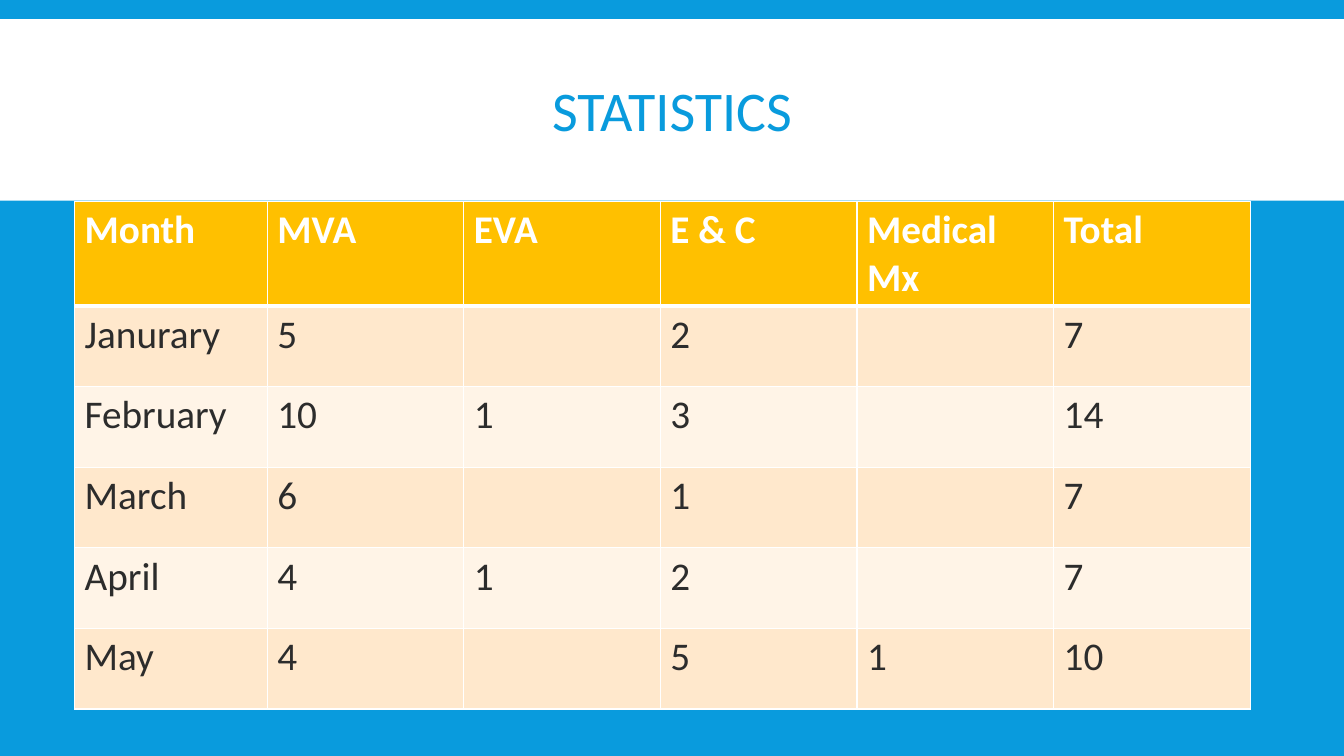
from lxml.etree import SubElement
from pptx import Presentation
from pptx.dml.color import RGBColor
from pptx.enum.shapes import MSO_SHAPE
from pptx.enum.text import MSO_ANCHOR, PP_ALIGN
from pptx.oxml.ns import qn
from pptx.util import Inches, Pt

TITLE = "STATISTICS"
HEADER = ("Month", "MVA", "EVA", "E & C", "Medical Mx", "Total")
MONTHS = (
    ("Janurary", "5", "", "2", "", "7"),
    ("February", "10", "1", "3", "", "14"),
    ("March", "6", "", "1", "", "7"),
    ("April", "4", "1", "2", "", "7"),
    ("May", "4", "", "5", "1", "10"),
)

BLUE = RGBColor(0x09, 0x9B, 0xDD)
WHITE = RGBColor(0xFF, 0xFF, 0xFF)
GOLD = RGBColor(0xFF, 0xC0, 0x00)
INK = RGBColor(0x2C, 0x2C, 0x2C)
BANDS = (RGBColor(0xFF, 0xE8, 0xCC), RGBColor(0xFF, 0xF4, 0xE7))
FONT = "Calibri"

SLIDE_W, SLIDE_H = Inches(13.33), Inches(7.5)
MONTH_W, COUNT_W = Inches(1.91), Inches(1.95)
ROW_H = Inches(0.8)


def style(paragraph, size, color, bold=False):
    font = paragraph.font
    font.name, font.size, font.bold = FONT, Pt(size), bold
    font.color.rgb = color


def add_borders(cell, widths):
    properties = cell._tc.get_or_add_tcPr()
    for side, width in widths.items():
        line = SubElement(properties, qn(f"a:ln{side}"), w=str(Pt(width)))
        fill = SubElement(line, qn("a:solidFill"))
        SubElement(fill, qn("a:srgbClr"), val=str(WHITE))


def add_title(slide):
    band = slide.shapes.add_shape(
        MSO_SHAPE.RECTANGLE, 0, Inches(0.19), SLIDE_W, Inches(1.8))
    band.shadow.inherit = False
    band.fill.solid()
    band.fill.fore_color.rgb = WHITE
    band.line.fill.background()

    title_w = Inches(10.7)
    title = slide.shapes.add_textbox(
        (SLIDE_W - title_w) // 2, Inches(0.31), title_w, Inches(1.65))
    frame = title.text_frame
    frame.word_wrap = True
    frame.vertical_anchor = MSO_ANCHOR.MIDDLE
    heading = frame.paragraphs[0]
    heading.text = TITLE
    heading.alignment = PP_ALIGN.CENTER
    heading.line_spacing = 0.85
    style(heading, 40, BLUE)


def add_statistics(slide):
    rows = (HEADER, *MONTHS)
    widths = [MONTH_W] + [COUNT_W] * (len(HEADER) - 1)
    table = slide.shapes.add_table(
        len(rows), len(HEADER), Inches(0.74), Inches(2),
        sum(widths), ROW_H * len(rows)).table
    for column, width in zip(table.columns, widths):
        column.width = width
    for r, values in enumerate(rows):
        table.rows[r].height = ROW_H
        is_header = r == 0
        for c, value in enumerate(values):
            cell = table.cell(r, c)
            add_borders(cell, {"L": 1, "R": 1, "T": 3 if r == 1 else 1,
                               "B": 3 if is_header else 1})
            cell.fill.solid()
            cell.fill.fore_color.rgb = GOLD if is_header else BANDS[(r - 1) % 2]
            paragraph = cell.text_frame.paragraphs[0]
            if value:
                paragraph.text = value
            style(paragraph, 28, WHITE if is_header else INK, is_header)


def main():
    deck = Presentation()
    deck.slide_width, deck.slide_height = SLIDE_W, SLIDE_H
    slide = deck.slides.add_slide(deck.slide_layouts[6])
    slide.background.fill.solid()
    slide.background.fill.fore_color.rgb = BLUE
    add_title(slide)
    add_statistics(slide)
    deck.save("out.pptx")


if __name__ == "__main__":
    main()
